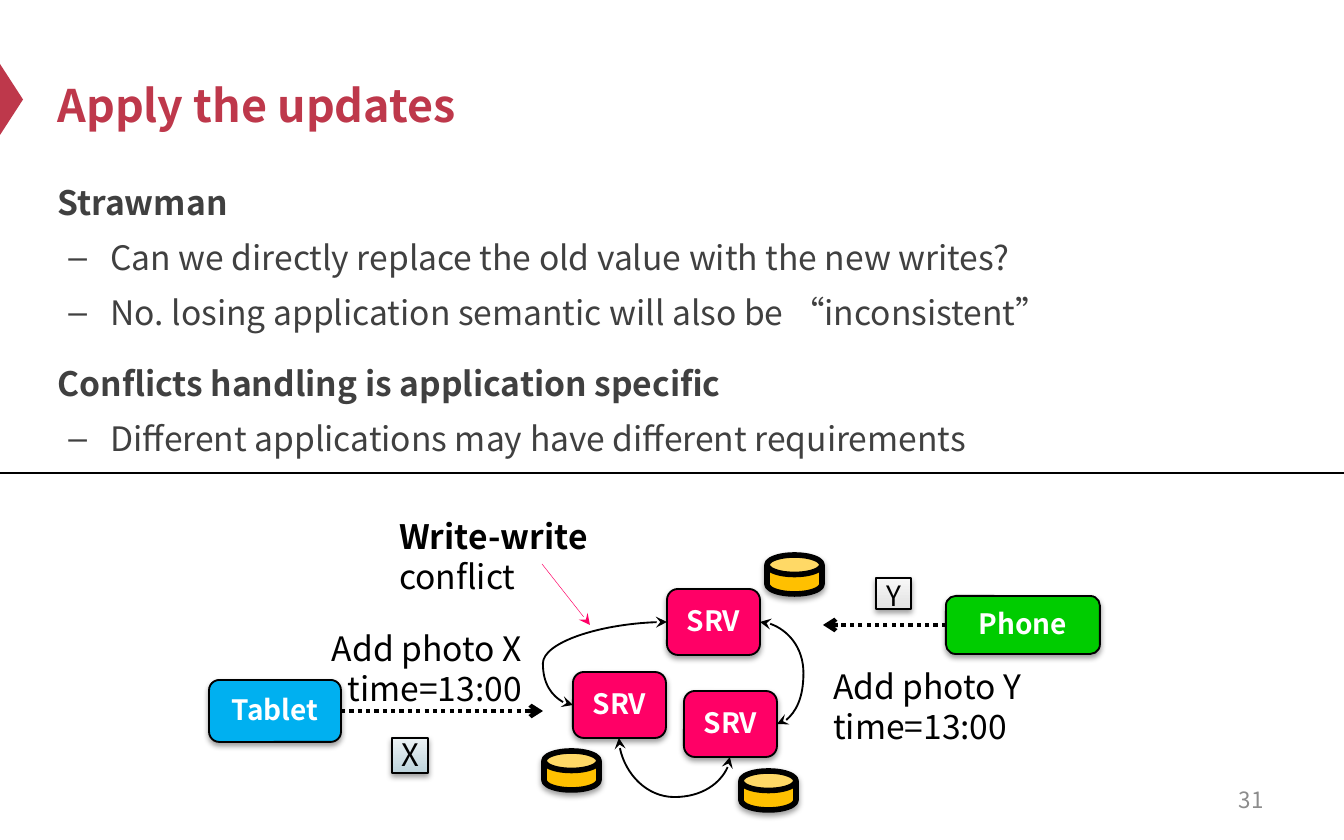
import lxml.etree
import pptx
import pptx.dml.color
import pptx.enum.dml
import pptx.enum.shapes
import pptx.enum.text
import pptx.oxml.ns
import pptx.util

FONT = "Noto Sans CJK SC"
PX = 914400 / 134.4
COLORS = {
    "accent": "BE384B", "body": "404040", "number": "8C8C8C",
    "ink": "000000", "white": "FFFFFF", "server": "FF0066",
    "disk": "FFC000", "tablet": "00B0F0", "phone": "00CC00",
    "x_low": "BDD3DB", "x_high": "EDF3F5", "y_low": "E2E2E2", "y_high": "F7F7F7",
}
ALIGN = pptx.enum.text.PP_ALIGN
ANCHOR = pptx.enum.text.MSO_ANCHOR
SHAPE = pptx.enum.shapes.MSO_SHAPE
CONNECTOR = pptx.enum.shapes.MSO_CONNECTOR


def px(length):
    """Turn pixels into EMU."""
    return pptx.util.Emu(round(length * PX))


def rgb(name):
    """Look up a named colour."""
    return pptx.dml.color.RGBColor.from_string(COLORS[name])


def add_xml(parent, tag, **attributes):
    """Append a DrawingML element with the given attributes."""
    return lxml.etree.SubElement(parent, pptx.oxml.ns.qn(tag), attributes)


def place(part, box, left, top, width, height):
    """Put a part at a spot relative to its region."""
    part.left, part.top = px(box[0] + left), px(box[1] + top)
    part.width, part.height = px(width), px(height)


def write(paragraph, text, size=18, color="ink", bold=False, align=ALIGN.LEFT):
    """Add a formatted run to a paragraph."""
    paragraph.alignment = align
    run = paragraph.add_run()
    run.text = text
    run.font.size = pptx.util.Pt(size)
    run.font.name = FONT
    run.font.bold = bold
    run.font.color.rgb = rgb(color)
    add_xml(run.font._element, "a:ea", typeface=FONT)


def add_note(slide, box, spot, lines, anchor=ANCHOR.TOP, bold_first=False, **style):
    """Add a text box whose lines are parted by line breaks."""
    note = slide.shapes.add_textbox(0, 0, 0, 0)
    place(note, box, *spot)
    note.text_frame.word_wrap = True
    note.text_frame.vertical_anchor = anchor
    paragraph = note.text_frame.paragraphs[0]
    for index, line in enumerate(lines):
        if index:
            paragraph.add_line_break()
        write(paragraph, line, bold=bold_first and index == 0, **style)


def add_block(slide, box, kind, spot, color=None, width=1, shaded=True):
    """Add an outlined preset shape with a soft shadow."""
    block = slide.shapes.add_shape(kind, 0, 0, 0, 0)
    place(block, box, *spot)
    block.shadow.inherit = False
    if color:
        block.fill.solid()
        block.fill.fore_color.rgb = rgb(color)
    if not shaded:
        block.line.fill.background()
        return block
    block.line.color.rgb = rgb("ink")
    block.line.width = pptx.util.Pt(width)
    effects = block._element.spPr.find(pptx.oxml.ns.qn("a:effectLst"))
    shadow = add_xml(effects, "a:outerShdw", blurRad="39370", dist="20320",
                     dir="5400000", rotWithShape="0")
    add_xml(add_xml(shadow, "a:srgbClr", val=COLORS["ink"]), "a:alpha", val="38000")
    return block


def label(block, text, insets, spacing=1.0, **style):
    """Centre a label in a block."""
    frame = block.text_frame
    frame.word_wrap = False
    frame.vertical_anchor = ANCHOR.MIDDLE
    frame.margin_left, frame.margin_top, frame.margin_right, frame.margin_bottom = map(px, insets)
    frame.paragraphs[0].line_spacing = spacing
    write(frame.paragraphs[0], text, align=ALIGN.CENTER, **style)


def add_node(slide, box, spot, text, color):
    """Add a rounded, labelled machine."""
    node = add_block(slide, box, SHAPE.ROUNDED_RECTANGLE, spot, color)
    label(node, text, (0, 4, 0, 7), size=15, color="white", bold=True)
    return node


def add_photo(slide, box, spot, text, size, top_inset, width):
    """Add a shaded photo card."""
    photo = add_block(slide, box, SHAPE.RECTANGLE, spot, width=width)
    photo.fill.gradient()
    photo.fill.gradient_angle = 90
    for stop, shade in zip(photo.fill.gradient_stops, ("low", "high")):
        stop.color.rgb = rgb(f"{text.lower()}_{shade}")
    label(photo, text, (4, top_inset, 4, 0), spacing=0.8, size=size)


def add_link(slide, box, ends, kind=CONNECTOR.STRAIGHT, color="ink", width=1.0,
             head=None, tail=None, dotted=False):
    """Add a line with optional arrowheads."""
    x1, y1, x2, y2 = ends
    link = slide.shapes.add_connector(kind, px(box[0] + x1), px(box[1] + y1),
                                      px(box[0] + x2), px(box[1] + y2))
    link.line.color.rgb = rgb(color)
    link.line.width = pptx.util.Pt(width)
    if dotted:
        link.line.dash_style = pptx.enum.dml.MSO_LINE.ROUND_DOT
    for tag, arrow in (("a:headEnd", head), ("a:tailEnd", tail)):
        if arrow:
            add_xml(link.line._get_or_add_ln(), tag, type=arrow)
    add_xml(link._element.spPr, "a:effectLst")
    return link


def add_sync(slide, box, start, start_side, end, end_side, bend, turned=None):
    """Join two servers with a bent, two-headed curve."""
    sync = add_link(slide, box, (0, 0, 0, 0), CONNECTOR.CURVE, head="stealth", tail="stealth")
    sync.begin_connect(start, start_side)
    sync.end_connect(end, end_side)
    properties = sync._element.spPr
    if turned:
        place(sync, box, *turned)
        for name in ("flipH", "flipV"):
            properties.xfrm.attrib.pop(name, None)
        properties.xfrm.set("rot", "5400000")
        properties.xfrm.set("flipH", "1")
    geometry = properties.find(pptx.oxml.ns.qn("a:prstGeom"))
    geometry.set("prst", "curvedConnector3")
    guides = geometry.get_or_add_avLst()
    add_xml(guides, "a:gd", name="adj1", fmla=f"val {round(bend * 100000)}")


def build_header(slide, box):
    """Place the title and its edge marker."""
    marker = add_block(slide, box, SHAPE.ISOSCELES_TRIANGLE, (-24, 49, 71, 23), "accent", shaded=False)
    marker.rotation = 90
    title = slide.shapes.title
    place(title, box, 44, 0, 1210, 132)
    title.text_frame.auto_size = pptx.enum.text.MSO_AUTO_SIZE.NONE
    title.text_frame.vertical_anchor = ANCHOR.MIDDLE
    write(title.text_frame.paragraphs[0], "Apply the updates", size=24, color="accent", bold=True)


def build_points(slide, box):
    """Fill the body with headings and dashed points."""
    points = (
        (0, "Strawman"),
        (1, "Can we directly replace the old value with the new writes?"),
        (1, "No. losing application semantic will also be “inconsistent”"),
        (0, "Conflicts handling is application specific"),
        (1, "Different applications may have different requirements"),
    )
    body = slide.placeholders[1]
    place(body, box, 0, 0, box[2], box[3])
    frame = body.text_frame
    frame.auto_size = pptx.enum.text.MSO_AUTO_SIZE.NONE
    for index, (level, text) in enumerate(points):
        paragraph = frame.add_paragraph() if index else frame.paragraphs[0]
        paragraph.level = level
        paragraph.line_spacing = 1.2
        paragraph.space_before = pptx.util.Pt(3.6 if level else 12)
        write(paragraph, text, color="body", bold=level == 0)
        settings = paragraph._p.get_or_add_pPr()
        settings.set("marL", str(px(53 * level)))
        settings.set("indent", str(px(-42 * level)))
        if level:
            add_xml(settings, "a:buChar", char="–")
        else:
            add_xml(settings, "a:buNone")


def build_diagram(slide, box):
    """Draw the replicated servers, the two clients and their conflict."""
    add_link(slide, box, (0, 0, box[2], 0), width=0.75)
    add_note(slide, box, (820, 186, 240, 95), ("Add photo Y", "time=13:00"))
    add_note(slide, box, (295, 148, 240, 95), ("Add photo X", "time=13:00"), align=ALIGN.RIGHT)
    add_photo(slide, box, (392, 265, 36, 35), "X", 16.6, 4, 1)
    add_photo(slide, box, (876, 105, 35, 31), "Y", 15, 9, 0.75)
    top, left, right = [add_node(slide, box, (x, y, 93, 66), "SRV", "server")
                        for x, y in ((667, 116), (573, 199), (684, 218))]
    add_sync(slide, box, left, 1, top, 1, -0.32)
    add_sync(slide, box, top, 3, right, 3, 2.56)
    add_sync(slide, box, right, 2, left, 2, -2.11, turned=(665, 219, 19, 111))
    for x, y in ((767, 82), (544, 278), (741, 298)):
        disk = add_block(slide, box, SHAPE.CAN, (x, y, 55, 39), "disk", width=3)
        disk.adjustments[0] = 0.5
    tablet = add_node(slide, box, (209, 207, 132, 62), "Tablet", "tablet")
    phone = add_node(slide, box, (946, 123, 154, 58), "Phone", "phone")
    for client, side, ends in ((tablet, 3, (341, 238, 543, 238)), (phone, 1, (946, 152, 823, 152))):
        request = add_link(slide, box, ends, width=2.25, tail="arrow", dotted=True)
        request.begin_connect(client, side)
    add_note(slide, box, (386, 36, 310, 95), ("Write-write", "conflict"), bold_first=True)
    add_link(slide, box, (542, 91, 590, 152), color="server", width=0.25, tail="stealth")


def main():
    """Build and save the slide."""
    deck = pptx.Presentation()
    deck.slide_width, deck.slide_height = px(1344), px(840)
    slide = deck.slides.add_slide(deck.slide_layouts[1])
    build_header(slide, (0, 39, 1344, 132))
    build_points(slide, (44, 167, 1210, 554))
    add_note(slide, (964, 778), (0, 0, 313, 44), ("31",), anchor=ANCHOR.MIDDLE,
             size=12, color="number", align=ALIGN.RIGHT)
    build_diagram(slide, (0, 473, 1344, 367))
    deck.save("out.pptx")


if __name__ == "__main__":
    main()
